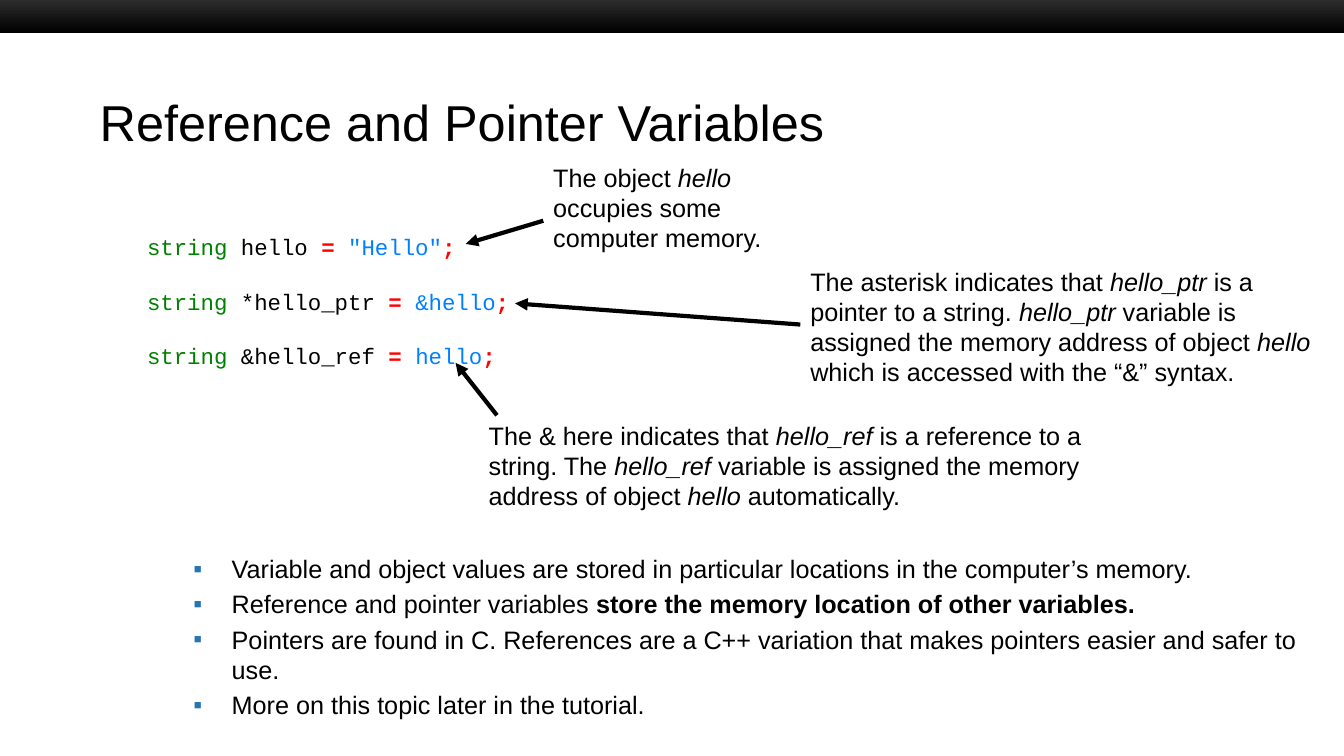
import pptx
import pptx.util
import pptx.dml.color
import pptx.enum.shapes
import pptx.enum.text
from lxml import etree

COLORS = {"ink": "000000", "type": "008000", "operator": "FF0000", "value": "0080FF",
          "bullet": "2675B4", "bar_top": "333333", "bar_bottom": "000000"}
COLUMNS, ROWS = 40, 30
DRAWING = "http://schemas.openxmlformats.org/drawingml/2006/main"


def add_xml(parent, tag, **attributes):
    return etree.SubElement(parent, f"{{{DRAWING}}}{tag}", attributes)


class Deck:
    """Holds the style and the current slide; positions are grid columns and rows."""

    def __init__(self):
        self.prs = pptx.Presentation()
        self.prs.slide_width = pptx.util.Inches(13.33)
        self.prs.slide_height = pptx.util.Inches(7.5)
        self.slide = self.prs.slides.add_slide(self.prs.slide_layouts[6])

    def grid(self, *lengths):
        units = (self.prs.slide_width / COLUMNS, self.prs.slide_height / ROWS)
        return [round(length * units[i % 2]) for i, length in enumerate(lengths)]

    def color(self, name):
        return pptx.dml.color.RGBColor.from_string(COLORS[name])

    def bar(self, *place):
        bar = self.slide.shapes.add_shape(
            pptx.enum.shapes.MSO_SHAPE.RECTANGLE, *self.grid(*place))
        bar.shadow.inherit = False
        bar.line.fill.background()
        bar.fill.gradient()
        bar.fill.gradient_angle = 270
        for stop, name in zip(bar.fill.gradient_stops, ("bar_top", "bar_bottom")):
            stop.color.rgb = self.color(name)

    def text(self, place, paragraphs, size=18, font="Arial", before=0, after=0,
             bulleted=False, middle=False):
        """Each paragraph is a list of (text, style); a style is a colour, bold or italic."""
        frame = self.slide.shapes.add_textbox(*self.grid(*place)).text_frame
        frame.word_wrap = True
        if middle:
            frame.vertical_anchor = pptx.enum.text.MSO_ANCHOR.MIDDLE
        for i, parts in enumerate(paragraphs):
            paragraph = frame.add_paragraph() if i else frame.paragraphs[0]
            paragraph.space_before = pptx.util.Pt(before)
            paragraph.space_after = pptx.util.Pt(after)
            if bulleted:
                self.bullet(paragraph)
            for words, style in parts:
                run = paragraph.add_run()
                run.text = words
                run.font.name = font
                run.font.size = pptx.util.Pt(size)
                run.font.bold = style in ("bold", "operator")
                run.font.italic = style == "italic"
                run.font.color.rgb = self.color(style if style in COLORS else "ink")

    def bullet(self, paragraph):
        properties = paragraph._p.get_or_add_pPr()
        indent = pptx.util.Inches(0.38)
        properties.set("marL", str(indent))
        properties.set("indent", str(-indent))
        add_xml(add_xml(properties, "buClr"), "srgbClr", val=COLORS["bullet"])
        add_xml(properties, "buFont", typeface="Arial")
        add_xml(properties, "buChar", char="▪")

    def callout(self, place, *parts):
        """Parts alternate between plain and italic words."""
        styles = ("plain", "italic")
        self.text(place, [[(words, styles[i % 2]) for i, words in enumerate(parts)]],
                  before=3.6)

    def arrow(self, *ends):
        arrow = self.slide.shapes.add_connector(
            pptx.enum.shapes.MSO_CONNECTOR.STRAIGHT, *self.grid(*ends))
        arrow.line.width = pptx.util.Pt(3)
        arrow.line.color.rgb = self.color("ink")
        add_xml(arrow.line._get_or_add_ln(), "tailEnd", type="triangle")
        add_xml(arrow._element.spPr, "effectLst")


def main():
    deck = Deck()

    # Top bar and title
    deck.bar(0, -0.2, COLUMNS, 1.52)
    deck.text((2.67, 3.32, 34.68, 3), [[("Reference and Pointer Variables", "plain")]],
              size=36, middle=True)

    # Summary points
    deck.text((5.46, 21.76, 33.57, 8.2), [
        [("Variable and object values are stored in particular locations in the "
          "computer’s memory.", "plain")],
        [("Reference and pointer variables ", "plain"),
         ("store the memory location of other variables.", "bold")],
        [("Pointers are found in C. References are a C++ variation that makes "
          "pointers easier and safer to use.", "plain")],
        [("More on this topic later in the tutorial.", "plain")],
    ], before=3.6, bulleted=True)

    # Code declarations
    declarations = [("hello", '"Hello"'), ("*hello_ptr", "&hello"), ("&hello_ref", "hello")]
    deck.text((4.08, 9.04, 17.58, 5.8), [
        [("string", "type"), (f" {variable} ", "ink"), ("=", "operator"), (" ", "ink"),
         (value, "value"), (";", "operator")]
        for variable, value in declarations
    ], size=16, font="Courier New", after=20)

    # Callouts, each with its arrow to the code
    deck.callout((16.17, 6.24, 8.43, 2.56),
                 "The object ", "hello ", "occupies some computer memory.")
    deck.arrow(16.17, 8.76, 13.86, 9.68)
    deck.callout((23.82, 10.36, 15.75, 5.08),
                 "The asterisk indicates that ", "hello_ptr", " is a pointer to a string. ",
                 "hello_ptr", " variable is assigned the memory address of object ",
                 "hello", " which is accessed with the “&” syntax.")
    deck.arrow(23.82, 12.88, 15.33, 12.04)
    deck.callout((14.25, 16.48, 19.11, 4.6),
                 "The & here indicates that ", "hello_ref ", "is a reference to a string. The ",
                 "hello_ref ", "variable is assigned the memory address of object ",
                 "hello ", "automatically.")
    deck.arrow(14.79, 16.48, 13.56, 14.4)

    deck.prs.save("out.pptx")


if __name__ == "__main__":
    main()
